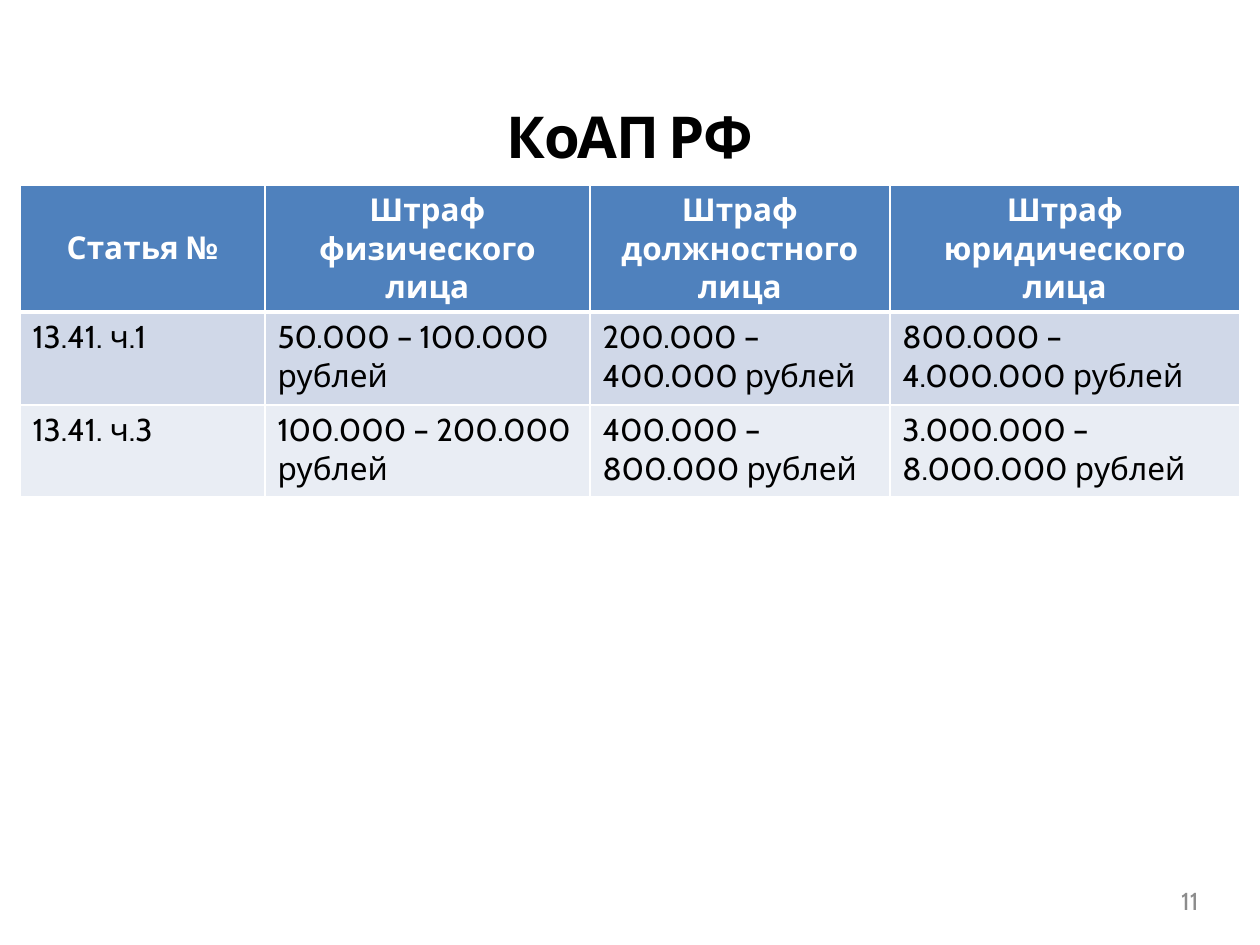
from dataclasses import dataclass

from lxml.etree import SubElement
from pptx import Presentation
from pptx.dml.color import RGBColor
from pptx.enum.text import MSO_ANCHOR, MSO_AUTO_SIZE, PP_ALIGN
from pptx.oxml.ns import qn
from pptx.util import Emu, Pt


@dataclass(frozen=True)
class Theme:
    font: str = "Cabin"
    ink: str = "000000"
    muted: str = "8C8C8C"
    white: str = "FFFFFF"
    header: str = "4F81BD"
    bands: tuple = ("D0D8E8", "E9EDF4")
    title_size: int = 33
    cell_size: int = 18
    number_size: int = 14
    rule: int = 1
    header_rule: int = 3


THEME = Theme()
PX_PER_INCH = 126

FINES = [
    ["Статья №", "Штраф физического лица", "Штраф должностного лица", "Штраф юридического лица"],
    ["13.41. ч.1", "50.000 – 100.000 рублей", "200.000 – 400.000 рублей", "800.000 – 4.000.000 рублей"],
    ["13.41. ч.3", "100.000 – 200.000 рублей", "400.000 – 800.000 рублей", "3.000.000 – 8.000.000 рублей"],
]
COLUMN_WIDTHS = [245, 325, 300, 350]
ROW_HEIGHTS = [127, 93, 92]


def px(length):
    return Emu(round(length * 914400 / PX_PER_INCH))


def write(frame, text, size, color, align, bold=False):
    frame.text = text
    frame.word_wrap = True
    paragraph = frame.paragraphs[0]
    paragraph.alignment = align
    run = paragraph.runs[0]
    run.font.name = THEME.font
    run.font.size = Pt(size)
    run.font.bold = bold
    run.font.color.rgb = RGBColor.from_string(color)
    return run


def place_title(slide, box, text):
    title = slide.shapes.title
    title.left, title.top, title.width, title.height = map(px, box)
    frame = title.text_frame
    frame.auto_size = MSO_AUTO_SIZE.NONE
    frame.vertical_anchor = MSO_ANCHOR.MIDDLE
    run = write(frame, text, THEME.title_size, THEME.ink, PP_ALIGN.CENTER, True)
    run._r.get_or_add_rPr().set("spc", "-100")


def rule_cell(cell, bottom, top):
    properties = cell._tc.get_or_add_tcPr()
    edges = {"lnL": THEME.rule, "lnR": THEME.rule, "lnT": top, "lnB": bottom}
    for edge, width in edges.items():
        line = SubElement(properties, qn(f"a:{edge}"), w=str(Pt(width)))
        fill = SubElement(line, qn("a:solidFill"))
        SubElement(fill, qn("a:srgbClr"), val=THEME.white)


def place_fines(slide, box, rows):
    left, top, width, height = map(px, box)
    table = slide.shapes.add_table(len(rows), len(rows[0]), left, top, width, height).table
    for column, column_width in zip(table.columns, COLUMN_WIDTHS):
        column.width = px(column_width)
    for row, row_height in zip(table.rows, ROW_HEIGHTS):
        row.height = px(row_height)
    for row_index, row in enumerate(rows):
        heading = row_index == 0
        background = THEME.header if heading else THEME.bands[(row_index - 1) % 2]
        color = THEME.white if heading else THEME.ink
        align = PP_ALIGN.CENTER if heading else PP_ALIGN.LEFT
        for column_index, text in enumerate(row):
            cell = table.cell(row_index, column_index)
            rule_cell(
                cell,
                bottom=THEME.header_rule if heading else THEME.rule,
                top=THEME.header_rule if row_index == 1 else THEME.rule,
            )
            cell.fill.solid()
            cell.fill.fore_color.rgb = RGBColor.from_string(background)
            cell.vertical_anchor = MSO_ANCHOR.MIDDLE if heading else MSO_ANCHOR.TOP
            write(cell.text_frame, text, THEME.cell_size, color, align, heading)


def place_number(slide, box, text):
    frame = slide.shapes.add_textbox(*map(px, box)).text_frame
    frame.vertical_anchor = MSO_ANCHOR.MIDDLE
    write(frame, text, THEME.number_size, THEME.muted, PP_ALIGN.RIGHT)


def main():
    deck = Presentation()
    deck.slide_width, deck.slide_height = px(1260), px(945)
    slide = deck.slides.add_slide(deck.slide_layouts[5])
    place_title(slide, (0, 66, 1260, 139), "КоАП РФ")
    place_number(slide, (903, 876, 308, 50), "11")
    place_fines(slide, (20, 185, sum(COLUMN_WIDTHS), sum(ROW_HEIGHTS)), FINES)
    deck.save("out.pptx")


if __name__ == "__main__":
    main()
